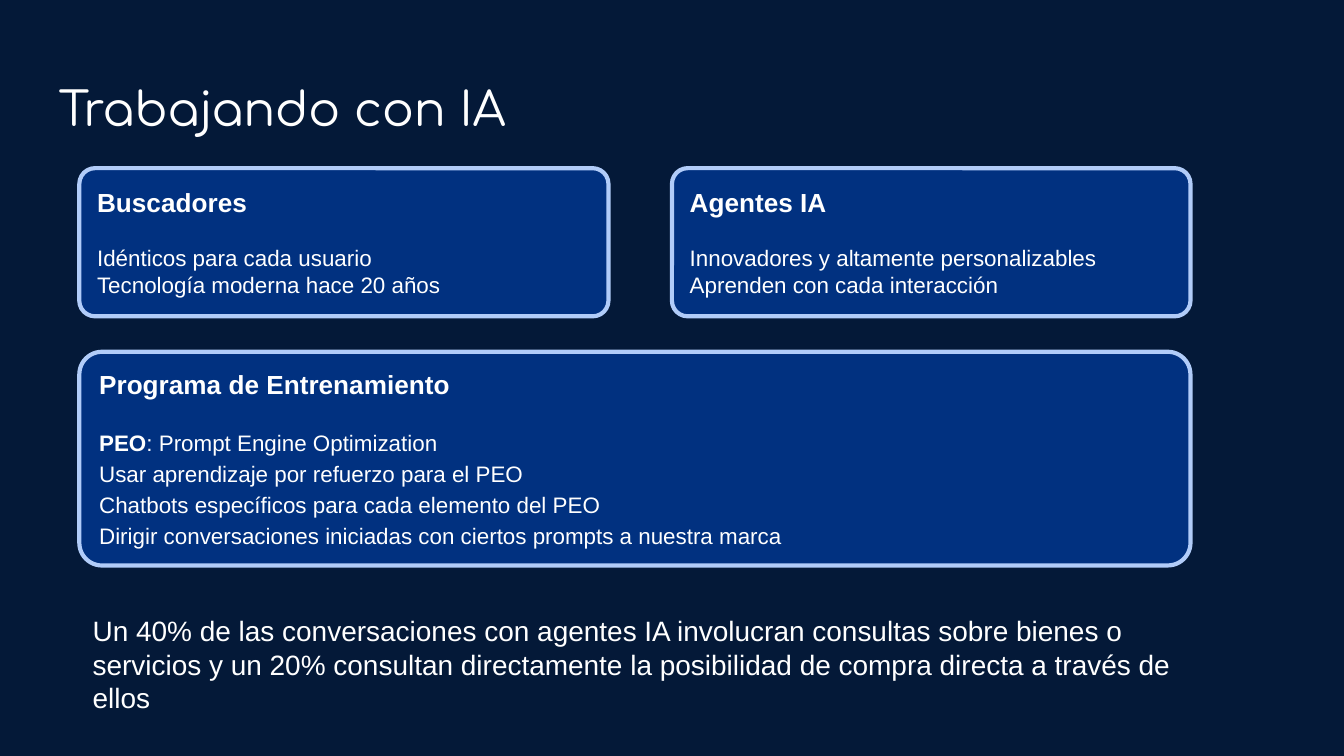
from pptx import Presentation
from pptx.dml.color import RGBColor
from pptx.enum.shapes import MSO_SHAPE
from pptx.enum.text import MSO_ANCHOR, PP_ALIGN
from pptx.util import Cm, Pt

ROUNDED = MSO_SHAPE.ROUNDED_RECTANGLE
TOP, MIDDLE = MSO_ANCHOR.TOP, MSO_ANCHOR.MIDDLE
LEFT = PP_ALIGN.LEFT

THEME = {
    "background": RGBColor.from_string("041938"),
    "card": RGBColor.from_string("013180"),
    "border": RGBColor.from_string("B1CCF9"),
    "text": RGBColor.from_string("FFFFFF"),
    "title_font": "Comfortaa",
    "body_font": "Arial",
    "title": Pt(25.2),
    "heading": Pt(14),
    "body": Pt(12),
    "closing": Pt(15),
    "heading_gap": Pt(13.8),
}


def set_frame(tf, anchor):
    tf.word_wrap = True
    tf.vertical_anchor = anchor
    tf.margin_left = tf.margin_right = tf.margin_top = tf.margin_bottom = Cm(0.25)


def style(p, size, font=THEME["body_font"]):
    p.alignment = LEFT
    p.font.size = size
    p.font.name = font
    p.font.color.rgb = THEME["text"]


prs = Presentation()
prs.slide_width, prs.slide_height = Cm(25.4), Cm(14.29)
s = prs.slides.add_slide(prs.slide_layouts[6])
s.background.fill.solid()
s.background.fill.fore_color.rgb = THEME["background"]

texts = [
    (0.86, 1.24, 23.67, 1.6, MIDDLE, "title", THEME["title_font"], "Trabajando con IA"),
    (1.5, 11.35, 21, 2, TOP, "closing", THEME["body_font"],
     "Un 40% de las conversaciones con agentes IA involucran consultas sobre bienes o "
     "servicios y un 20% consultan directamente la posibilidad de compra directa "
     "a través de ellos"),
]
for x, y, w, h, anchor, size, font, text in texts:
    tf = s.shapes.add_textbox(Cm(x), Cm(y), Cm(w), Cm(h)).text_frame
    set_frame(tf, anchor)
    p = tf.paragraphs[0]
    p.text = text
    style(p, THEME[size], font)

cards = [
    (1.5, 3.18, 10, 2.8, 1.0, "Buscadores", [
        ("", "Idénticos para cada usuario"),
        ("", "Tecnología moderna hace 20 años"),
    ]),
    (12.7, 3.18, 9.8, 2.8, 1.0, "Agentes IA", [
        ("", "Innovadores y altamente personalizables"),
        ("", "Aprenden con cada interacción"),
    ]),
    (1.5, 6.65, 21, 4.04, 1.15, "Programa de Entrenamiento", [
        ("PEO", ": Prompt Engine Optimization"),
        ("", "Usar aprendizaje por refuerzo para el PEO"),
        ("", "Chatbots específicos para cada elemento del PEO"),
        ("", "Dirigir conversaciones iniciadas con ciertos prompts a nuestra marca"),
    ]),
]
for x, y, w, h, spacing, heading, lines in cards:
    sp = s.shapes.add_shape(ROUNDED, Cm(x), Cm(y), Cm(w), Cm(h))
    sp.adjustments[0] = 0.106
    sp.shadow.inherit = False
    sp.fill.solid()
    sp.fill.fore_color.rgb = THEME["card"]
    sp.line.color.rgb = THEME["border"]
    sp.line.width = Pt(2.25)

    tf = sp.text_frame
    set_frame(tf, MIDDLE)
    p = tf.paragraphs[0]
    p.text = heading
    style(p, THEME["heading"])
    p.font.bold = True
    p.space_after = THEME["heading_gap"]

    for term, text in lines:
        p = tf.add_paragraph()
        style(p, THEME["body"])
        p.line_spacing = spacing
        if term:
            r = p.add_run()
            r.text = term
            r.font.bold = True
        p.add_run().text = text

prs.save("out.pptx")
